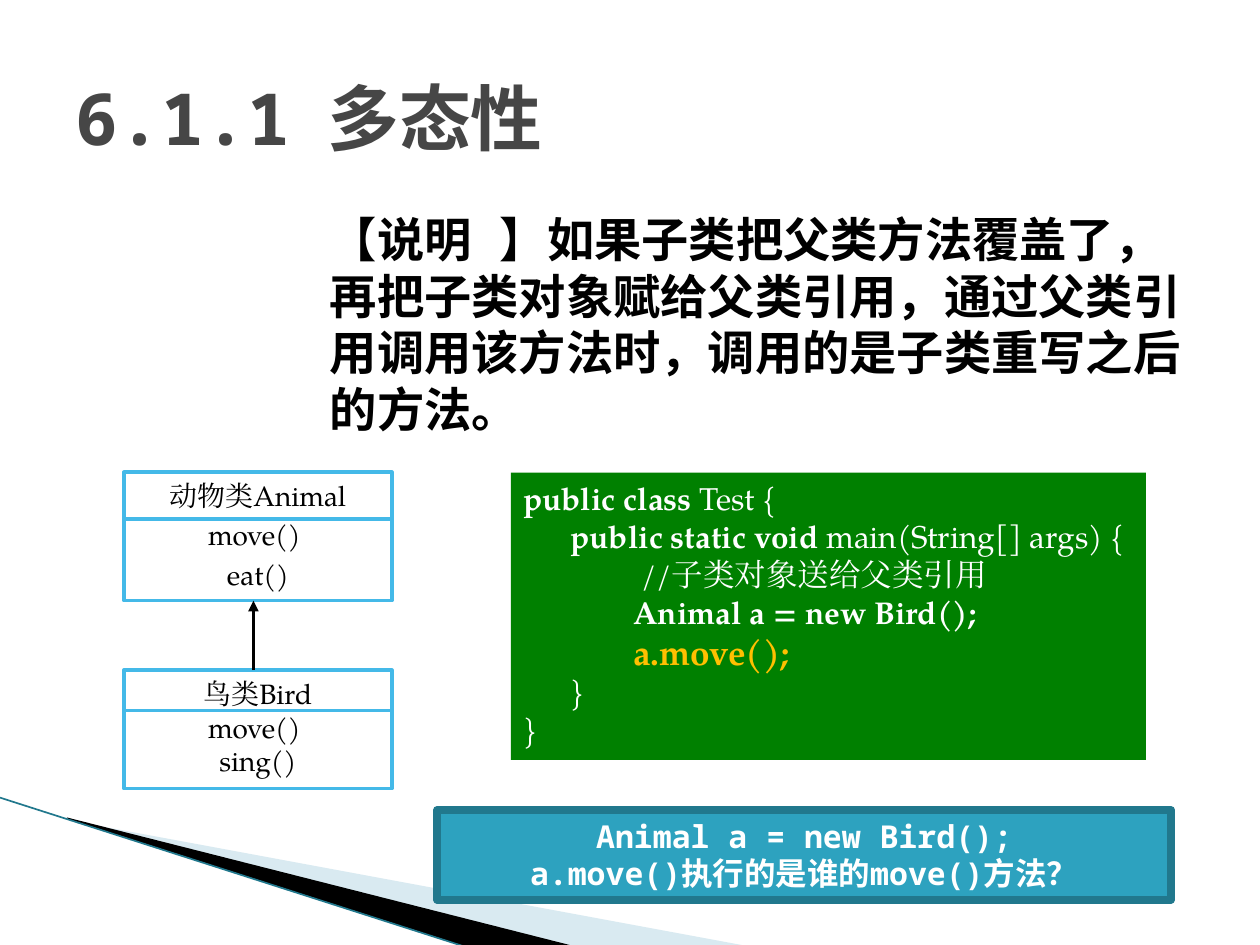
from lxml import etree
from pptx import Presentation
from pptx import util as u
from pptx.dml.color import RGBColor
from pptx.enum import shapes, text
from pptx.oxml.ns import qn

MONO, SERIF = "Noto Sans Mono", "TeX Gyre Pagella"
CENTER, LEFT = text.PP_ALIGN.CENTER, text.PP_ALIGN.LEFT
TOP, MIDDLE = text.MSO_ANCHOR.TOP, text.MSO_ANCHOR.MIDDLE
SKY = "44B9E8"


def color(value):
    return RGBColor.from_string(value)


def style(sp, fill=None, line=None, width=2.0):
    sp.shadow.inherit = False
    if fill:
        sp.fill.solid()
        sp.fill.fore_color.rgb = color(fill)
    else:
        sp.fill.background()
    if line:
        sp.line.color.rgb = color(line)
        sp.line.width = u.Pt(width)
    else:
        sp.line.fill.background()
    return sp


def add_rect(s, box, **fmt):
    sp = s.shapes.add_shape(shapes.MSO_SHAPE.RECTANGLE, *map(u.Cm, box))
    return style(sp, **fmt)


def add_line(s, start, end, line=SKY, width=2.0, arrow=False):
    cx = s.shapes.add_connector(shapes.MSO_CONNECTOR.STRAIGHT, *map(u.Cm, start + end))
    cx.line.color.rgb = color(line)
    cx.line.width = u.Pt(width)
    if arrow:
        etree.SubElement(cx.line._get_or_add_ln(), qn("a:tailEnd"), type="triangle")
    etree.SubElement(cx._element.spPr, qn("a:effectLst"))


def add_wedge(s, points, fill, alpha=100):
    pts = [(u.Cm(x), u.Cm(y)) for x, y in points]
    fb = s.shapes.build_freeform(*pts[0])
    fb.add_line_segments(pts[1:], close=True)
    sp = style(fb.convert_to_shape(), fill=fill)
    if alpha < 100:
        clr = sp._element.spPr.find(".//" + qn("a:srgbClr"))
        etree.SubElement(clr, qn("a:alpha"), val=str(alpha * 1000))


def write(sp, paras, font=MONO, size=18, fill="000000", bold=False, align=LEFT,
          anchor=TOP, wrap=True, top=0.13, margin=0, indent=0, tab=None,
          spacing=None, before=0):
    tf = sp.text_frame
    tf.word_wrap, tf.vertical_anchor = wrap, anchor
    tf.margin_top = u.Cm(top)
    for i, runs in enumerate(paras):
        p = tf.paragraphs[0] if i == 0 else tf.add_paragraph()
        p.alignment = align
        pr = p._p.get_or_add_pPr()
        pr.set("marL", str(u.Cm(margin)))
        pr.set("indent", str(u.Cm(indent)))
        if spacing:
            p.line_spacing = spacing
        if i and before:
            p.space_before = u.Pt(before)
        if tab:
            tabs = etree.SubElement(pr, qn("a:tabLst"))
            etree.SubElement(tabs, qn("a:tab"), pos=str(u.Cm(tab)), algn="l")
        for run in [runs] if isinstance(runs, str) else runs:
            words, own = (run, {}) if isinstance(run, str) else run
            r = p.add_run()
            r.text = words
            r.font.name = font
            r.font.size = u.Pt(own.get("size", size))
            r.font.bold = own.get("bold", bold)
            r.font.color.rgb = color(own.get("fill", fill))
            etree.SubElement(r._r.rPr, qn("a:ea"), typeface=font)


def add_text(s, box, paras, **fmt):
    write(s.shapes.add_textbox(*map(u.Cm, box)), paras, **fmt)


def add_corner(s, x, y):
    def shift(points):
        return [(x + dx, y + dy) for dx, dy in points]

    add_wedge(s, shift([(1.4, 0.46), (15.11, 3), (11.58, 3), (1.4, 0.43)]), "A0CBDC", 40)
    add_wedge(s, shift([(1.35, 0.4), (11.6, 3), (9.45, 3.02), (1.37, 0.43)]), "000000")
    add_line(s, (x, y), (x + 9.42, y + 3.02), line="21788D", width=0.95)


def add_class(s, box, divider, paras, **fmt):
    x, y, w, h = box
    write(add_rect(s, box, line=SKY), paras, font=SERIF, size=16, align=CENTER,
          wrap=False, **fmt)
    add_line(s, (x, y + divider), (x + w, y + divider))


def add_diagram(s, x, y):
    w = 5.4
    add_class(s, (x, y, w, 2.59), 0.94, ["动物类Animal", "move() ", "eat()"], before=3.2)
    bird = (x, y + 3.99, w, 2.39)
    add_class(s, bird, 0.81, ["鸟类Bird", "move() ", "sing()"], top=0)
    s.shapes[-2].text_frame.paragraphs[0].line_spacing = 1.2
    add_line(s, (x + 2.61, y + 3.99), (x + 2.61, y + 2.59), line="000000", arrow=True)


def add_code(s, box):
    bold = {"bold": True}
    write(add_rect(s, box, fill="008000"), [
        [("public class", bold), " Test {"],
        ["\t", ("public static void", bold), " main(String[] args) {"],
        "\t\t //子类对象送给父类引用",
        ["\t\t", ("Animal a = new Bird();", bold)],
        ["\t\t", ("a.move();", {"bold": True, "size": 20, "fill": "FFC000"})],
        " \t}",
        "}",
    ], font=SERIF, fill="FFFFFF", margin=0.95, indent=-0.95)


def add_question(s, box):
    write(add_rect(s, box, fill="2DA2BF", line="21788D", width=4.33),
          ["Animal a = new Bird();", "a.move()执行的是谁的move()方法？"],
          fill="FFFFFF", bold=True, align=CENTER, anchor=MIDDLE, spacing=u.Pt(21.2))


def main():
    prs = Presentation()
    prs.slide_width, prs.slide_height = u.Cm(25.4), u.Cm(19.05)
    s = prs.slides.add_slide(prs.slide_layouts[6])
    add_corner(s, 0, 16.08)
    add_text(s, (6.1, 4.11, 18.03, 12.57),
             ["【说明 】如果子类把父类方法覆盖了，再把子类对象赋给父类引用，"
              "通过父类引用调用该方法时，调用的是子类重写之后的方法。"],
             size=27, bold=True, margin=0.3, spacing=u.Pt(32.4))
    add_text(s, (1.27, 0.76, 22.86, 3.18), ["6.1.1\t多态性"], size=41,
             fill="464646", bold=True, anchor=MIDDLE, tab=6.43)
    add_diagram(s, 2.5, 9.52)
    add_code(s, (10.3, 9.53, 12.8, 5.79))
    add_question(s, (8.81, 16.33, 14.8, 1.81))
    prs.save("out.pptx")


if __name__ == "__main__":
    main()
